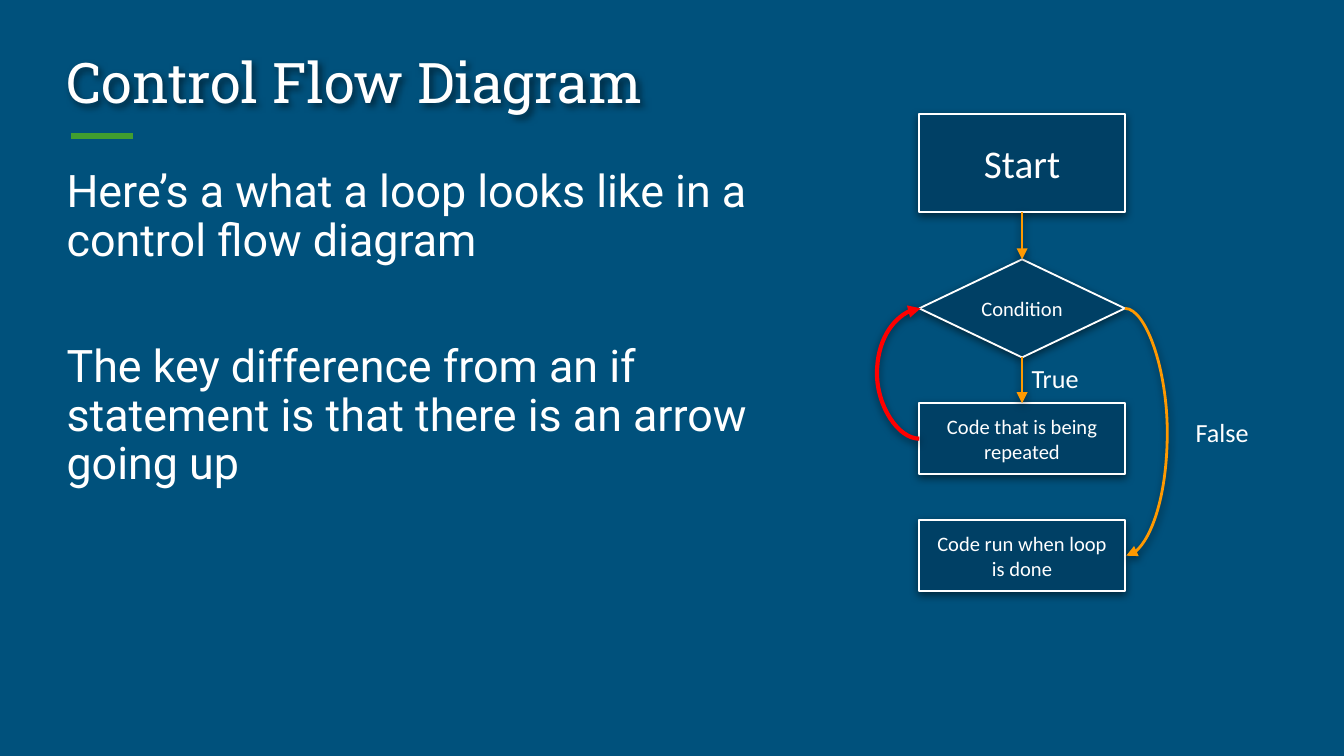
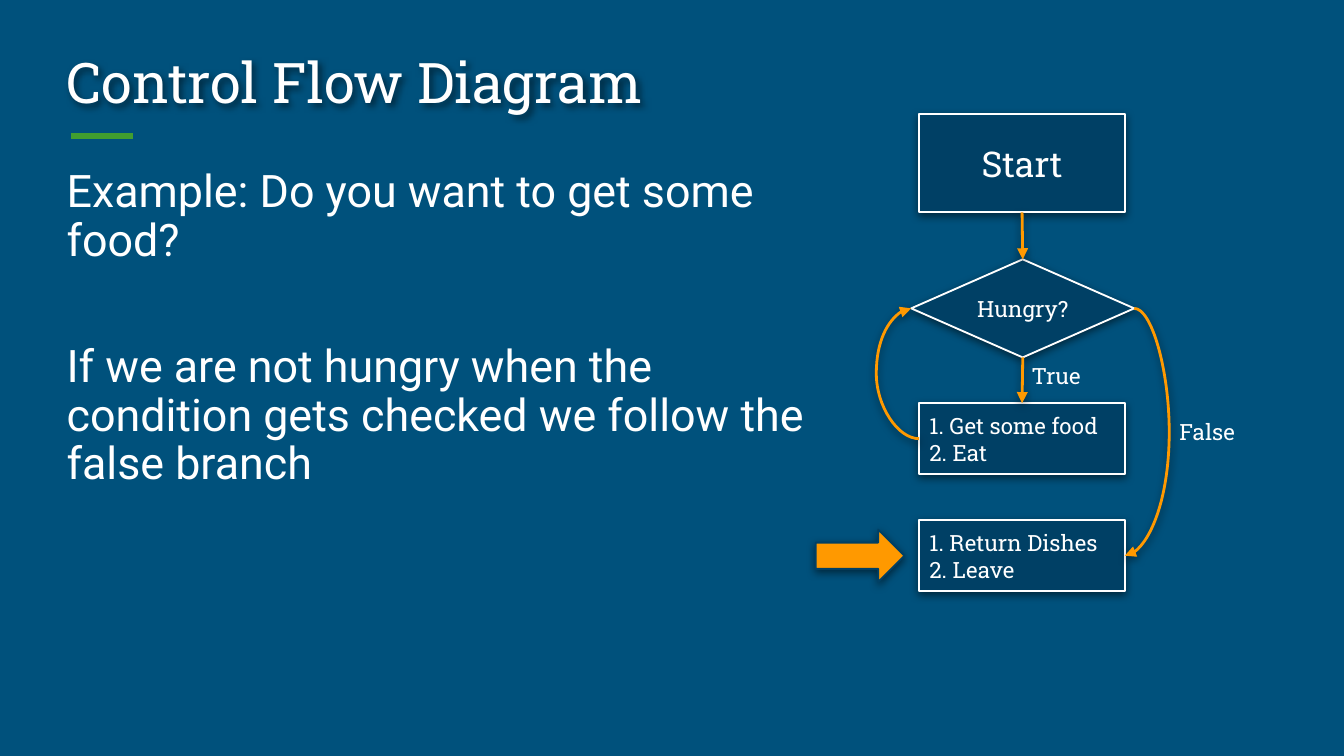
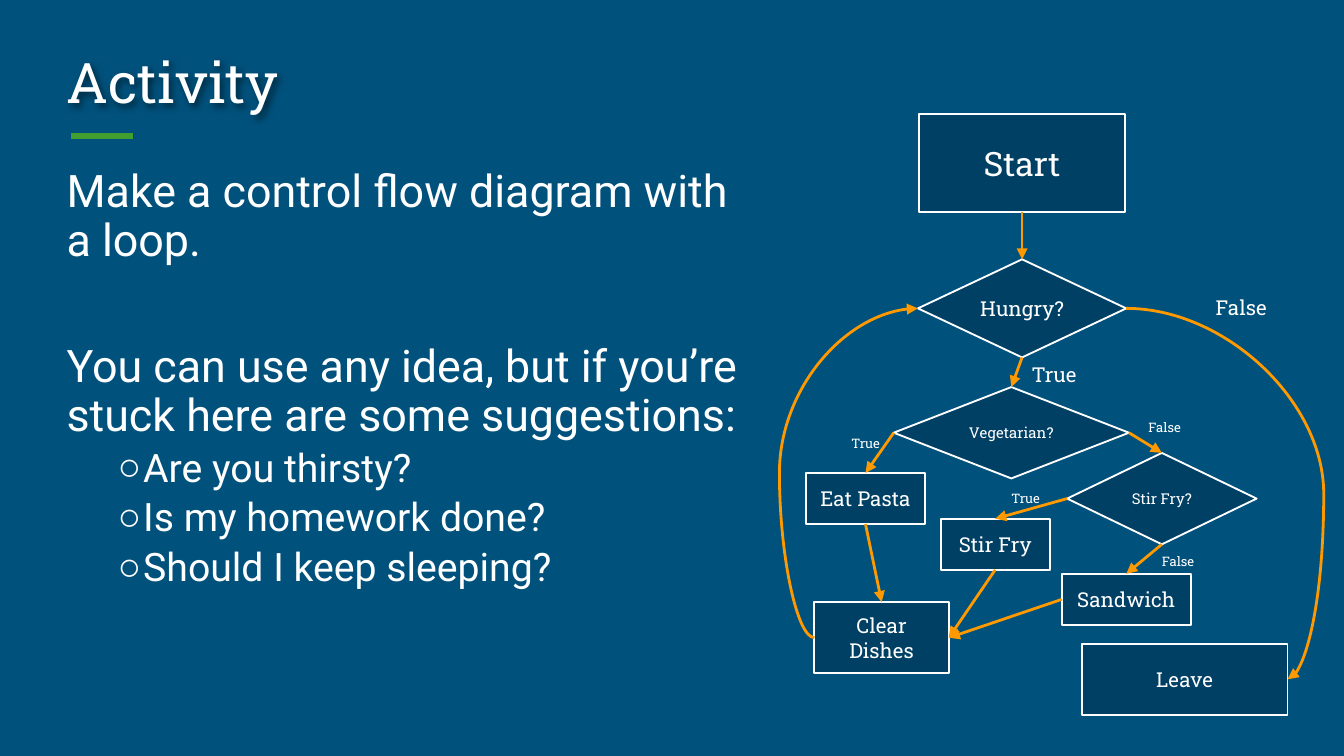
from lxml.etree import SubElement
from pptx import Presentation
from pptx.dml.color import RGBColor
from pptx.enum.shapes import MSO_CONNECTOR, MSO_SHAPE
from pptx.enum.text import MSO_ANCHOR, MSO_AUTO_SIZE, PP_ALIGN
from pptx.oxml.ns import qn
from pptx.util import Inches, Pt

NAVY = RGBColor(0x00, 0x51, 0x7C)
DEEP_NAVY = RGBColor(0x00, 0x40, 0x65)
WHITE = RGBColor(0xFF, 0xFF, 0xFF)
GREEN = RGBColor(0x41, 0x9E, 0x2F)
ORANGE = RGBColor(0xFF, 0x99, 0x00)
RED = RGBColor(0xFF, 0x00, 0x00)
SLAB = "Roboto Slab"
RECT = MSO_SHAPE.RECTANGLE
DECISION = MSO_SHAPE.FLOWCHART_DECISION
TOP, LEFT, BOTTOM, RIGHT = range(4)


def write(frame, lines, font, size, align=PP_ALIGN.LEFT, anchor=MSO_ANCHOR.TOP):
    frame.word_wrap = True
    frame.auto_size = MSO_AUTO_SIZE.NONE
    frame.vertical_anchor = anchor
    frame.margin_left = frame.margin_right = Pt(5.4)
    frame.margin_top = frame.margin_bottom = Pt(2.7)
    for index, line in enumerate(lines):
        paragraph = frame.paragraphs[0] if index == 0 else frame.add_paragraph()
        paragraph.alignment = align
        run = paragraph.add_run()
        run.text = line
        run.font.name = font
        run.font.size = Pt(size)
        run.font.color.rgb = WHITE


def set_shadow(properties, visible, blur=4.5, distance=1.5, degrees=90):
    effects = properties.find(qn("a:effectLst"))
    if effects is None:
        effects = SubElement(properties, qn("a:effectLst"))
    if visible:
        shadow = SubElement(effects, qn("a:outerShdw"), blurRad=str(Pt(blur)),
                            dist=str(Pt(distance)), dir=str(degrees * 60000),
                            algn="bl", rotWithShape="0")
        black = SubElement(shadow, qn("a:srgbClr"), val="000000")
        SubElement(black, qn("a:alpha"), val="50000")


lessons = [
    {
        "title": "Control Flow Diagram",
        "body_width": 5.56,
        "body": ["Here’s a what a loop looks like in a control flow diagram",
                 "The key difference from an if statement is that there is an arrow going up"],
        "suggestions": [],
        "font": "Calibri",
        "shadow": True,
        "loop_back": (RED, 2.25),
        "steps": [
            ("Start", RECT, 6.84, 0.85, 1.53, 0.73, 21),
            ("Condition", DECISION, 6.84, 1.93, 1.53, 0.73, 11),
            ("Code that is being repeated", RECT, 6.84, 3, 1.53, 0.53, 11),
            ("Code run when loop is done", RECT, 6.84, 3.87, 1.53, 0.53, 11),
        ],
        "arrows": [
            ("Start", BOTTOM, "Condition", TOP),
            ("Condition", BOTTOM, "Code that is being repeated", TOP),
        ],
        "curves": [
            ("Condition", RIGHT, "Code run when loop is done", RIGHT, 8.69),
            ("Code that is being repeated", LEFT, "Condition", LEFT, 6.52),
        ],
        "labels": [("True", 7.6, 2.66, 0.65, 0.31, 14), ("False", 8.82, 3.06, 0.79, 0.31, 14)],
    },
    {
        "title": "Control Flow Diagram",
        "body_width": 5.65,
        "body": ["Example: Do you want to get some food?",
                 "If we are not hungry when the condition gets checked we follow the false branch"],
        "suggestions": [],
        "font": SLAB,
        "shadow": True,
        "loop_back": (ORANGE, 1.5),
        "steps": [
            ("Start", RECT, 6.84, 0.85, 1.53, 0.73, 19),
            ("Hungry?", DECISION, 6.78, 1.93, 1.66, 0.73, 12),
            ("1. Get some food\n2. Eat", RECT, 6.84, 3, 1.53, 0.53, 12),
            ("1. Return Dishes\n2. Leave", RECT, 6.84, 3.87, 1.53, 0.53, 12),
        ],
        "arrows": [
            ("Start", BOTTOM, "Hungry?", TOP),
            ("Hungry?", BOTTOM, "1. Get some food\n2. Eat", TOP),
        ],
        "curves": [
            ("Hungry?", RIGHT, "1. Return Dishes\n2. Leave", RIGHT, 8.7),
            ("1. Get some food\n2. Eat", LEFT, "Hungry?", LEFT, 6.52),
        ],
        "labels": [("True", 7.6, 2.66, 0.65, 0.28, 12), ("False", 8.7, 3.07, 0.62, 0.28, 12)],
    },
    {
        "title": "Activity",
        "body_width": 5.29,
        "body": ["Make a control flow diagram with a loop.",
                 "You can use any idea, but if you’re stuck here are some suggestions:"],
        "suggestions": ["Are you thirsty?", "Is my homework done?", "Should I keep sleeping?"],
        "font": SLAB,
        "shadow": False,
        "loop_back": (ORANGE, 1.5),
        "steps": [
            ("Start", RECT, 6.84, 0.85, 1.53, 0.73, 18),
            ("Hungry?", DECISION, 6.83, 1.93, 1.55, 0.73, 11),
            ("Leave", RECT, 8.05, 4.79, 1.53, 0.53, 11),
            ("Vegetarian?", DECISION, 6.65, 2.88, 1.75, 0.68, 8),
            ("Stir Fry?", DECISION, 7.94, 3.37, 1.41, 0.68, 8),
            ("Eat Pasta", RECT, 6, 3.52, 0.88, 0.38, 11),
            ("Sandwich", RECT, 7.9, 4.27, 0.96, 0.38, 11),
            ("Stir Fry", RECT, 7, 3.86, 0.81, 0.38, 11),
            ("Clear Dishes", RECT, 6.06, 4.48, 1, 0.53, 11),
        ],
        "arrows": [
            ("Start", BOTTOM, "Hungry?", TOP),
            ("Hungry?", BOTTOM, "Vegetarian?", TOP),
            ("Vegetarian?", RIGHT, "Stir Fry?", TOP),
            ("Vegetarian?", LEFT, "Eat Pasta", TOP),
            ("Stir Fry?", LEFT, "Stir Fry", TOP),
            ("Stir Fry?", BOTTOM, "Sandwich", TOP),
            ("Eat Pasta", BOTTOM, "Clear Dishes", TOP),
            ("Stir Fry", BOTTOM, "Clear Dishes", RIGHT),
            ("Sandwich", LEFT, "Clear Dishes", RIGHT),
        ],
        "curves": [
            ("Hungry?", RIGHT, "Leave", RIGHT, 9.85),
            ("Clear Dishes", LEFT, "Hungry?", LEFT, 5.8),
        ],
        "labels": [
            ("True", 7.6, 2.66, 0.49, 0.26, 11),
            ("False", 8.97, 2.16, 0.54, 0.26, 11),
            ("False", 8.57, 4.08, 0.49, 0.19, 7),
            ("False", 8.47, 3.08, 0.49, 0.19, 7),
            ("True", 6.26, 3.2, 0.49, 0.19, 7),
            ("True", 7.45, 3.61, 0.45, 0.19, 7),
        ],
    },
]

deck = Presentation()
deck.slide_width = Inches(10)
deck.slide_height = deck.slide_width * 9 // 16
layout = deck.slide_layouts[1]
layout.background.fill.solid()
layout.background.fill.fore_color.rgb = NAVY

for lesson in lessons:
    slide = deck.slides.add_slide(layout)
    shapes = slide.shapes

    title = shapes.title
    title.left, title.top, title.width, title.height = map(Inches, (0.42, 0.26, 9.15, 0.75))
    write(title.text_frame, [lesson["title"]], SLAB, 30, anchor=MSO_ANCHOR.MIDDLE)
    title.text_frame.paragraphs[0].line_spacing = 0.9
    set_shadow(title._element.spPr, True, 4, 2, 45)

    accent = shapes.add_connector(MSO_CONNECTOR.STRAIGHT, Inches(0.53), Inches(1.01),
                                  Inches(0.99), Inches(1.01))
    accent.line.color.rgb = GREEN
    accent.line.width = Pt(3)
    set_shadow(accent._element.spPr, False)

    body = slide.placeholders[1]
    body.left, body.top, body.height = Inches(0.42), Inches(1.22), Inches(3.77)
    body.width = Inches(lesson["body_width"])
    write(body.text_frame, lesson["body"] + lesson["suggestions"], "Roboto", 24)
    for index, paragraph in enumerate(body.text_frame.paragraphs):
        paragraph.line_spacing = 0.9
        paragraph.space_before = Pt((0, 42, 4, 4, 4)[index])
        settings = paragraph._p.get_or_add_pPr()
        if index < len(lesson["body"]):
            settings.set("marL", "0")
            settings.set("indent", "0")
            SubElement(settings, qn("a:buNone"))
        else:
            paragraph.level = 1
            paragraph.runs[0].font.size = Pt(21)
            settings.set("marL", str(Inches(0.57)))
            settings.set("indent", str(Inches(-0.19)))
            bullet_color = SubElement(settings, qn("a:buClr"))
            SubElement(bullet_color, qn("a:srgbClr"), val=str(WHITE))
            SubElement(settings, qn("a:buChar"), char="○")

    steps = {}
    for text, outline, left, top, width, height, size in lesson["steps"]:
        step = shapes.add_shape(outline, *map(Inches, (left, top, width, height)))
        step.fill.solid()
        step.fill.fore_color.rgb = DEEP_NAVY
        step.line.color.rgb = WHITE
        step.line.width = Pt(1)
        step.shadow.inherit = False
        set_shadow(step._element.spPr, lesson["shadow"])
        lines = text.split("\n")
        align = PP_ALIGN.LEFT if len(lines) > 1 else PP_ALIGN.CENTER
        write(step.text_frame, lines, lesson["font"], size, align, MSO_ANCHOR.MIDDLE)
        steps[text] = step

    for source, exit_side, target, entry_side, *bulge in lesson["arrows"] + lesson["curves"]:
        bend = MSO_CONNECTOR.CURVE if bulge else MSO_CONNECTOR.STRAIGHT
        arrow = shapes.add_connector(bend, 0, 0, 0, 0)
        arrow.begin_connect(steps[source], exit_side)
        arrow.end_connect(steps[target], entry_side)
        loops_back = exit_side == entry_side == LEFT
        color, weight = lesson["loop_back"] if loops_back else (ORANGE, 1.5)
        arrow.line.color.rgb = color
        arrow.line.width = Pt(weight)
        properties = arrow._element.spPr
        SubElement(properties.find(qn("a:ln")), qn("a:tailEnd"), type="triangle")
        set_shadow(properties, lesson["shadow"])
        if bulge:
            if arrow.begin_x == arrow.end_x:
                arrow.end_x = arrow.begin_x + Inches(0.01)
            reach = (Inches(bulge[0]) - arrow.begin_x) / (arrow.end_x - arrow.begin_x)
            guides = properties.find(qn("a:prstGeom")).get_or_add_avLst()
            SubElement(guides, qn("a:gd"), name="adj1", fmla=f"val {round(reach * 100000)}")

    for text, left, top, width, height, size in lesson["labels"]:
        label = shapes.add_textbox(*map(Inches, (left, top, width, height)))
        write(label.text_frame, [text], lesson["font"], size)

    if lesson is lessons[1]:
        pointer = shapes.add_shape(MSO_SHAPE.RIGHT_ARROW, *map(Inches, (6.07, 3.94, 0.66, 0.39)))
        pointer.fill.solid()
        pointer.fill.fore_color.rgb = ORANGE
        pointer.line.color.rgb = DEEP_NAVY
        pointer.line.width = Pt(1)
        pointer.shadow.inherit = False
        set_shadow(pointer._element.spPr, True)

deck.save("out.pptx")
